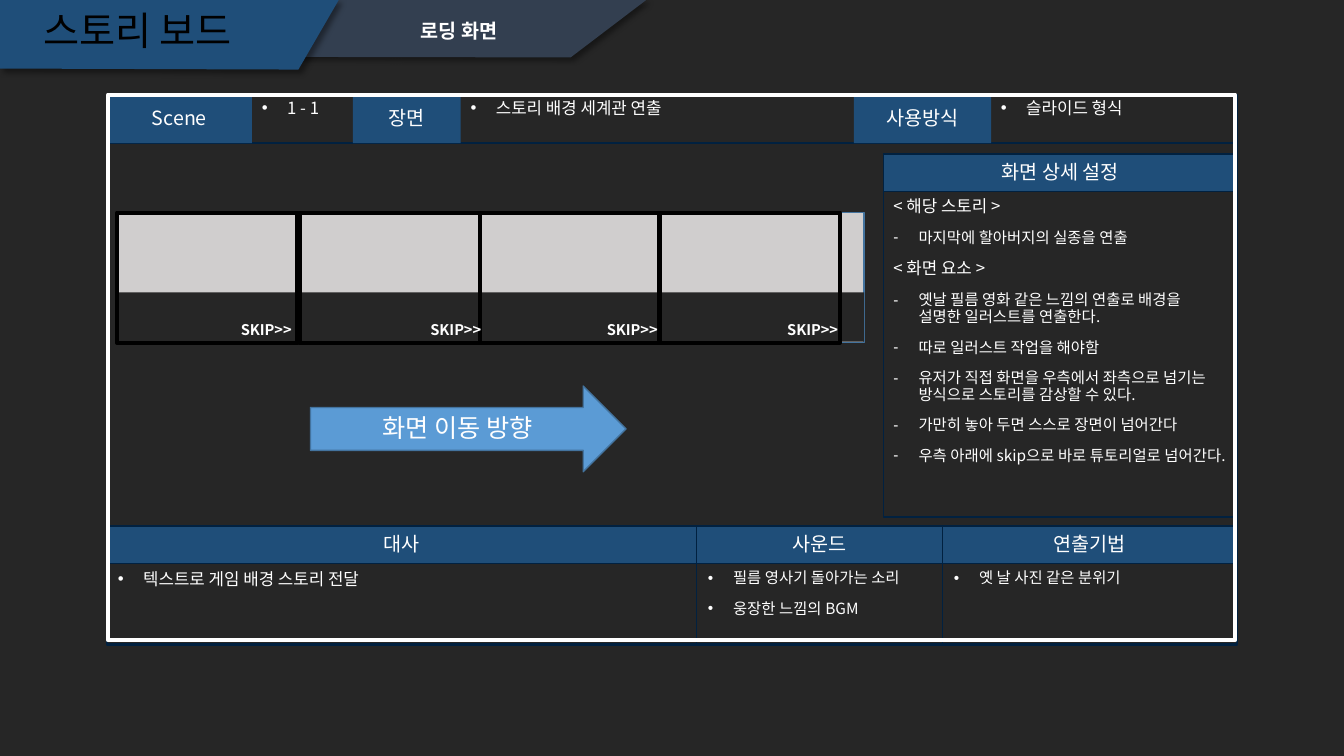
"""Build a storyboard slide for the loading screen."""
from lxml import etree
from pptx import Presentation
from pptx.dml.color import RGBColor
from pptx.enum.shapes import MSO_SHAPE
from pptx.enum.text import MSO_ANCHOR, MSO_AUTO_SIZE, PP_ALIGN
from pptx.oxml.ns import qn
from pptx.util import Inches, Pt

RECT, ARROW = MSO_SHAPE.RECTANGLE, MSO_SHAPE.RIGHT_ARROW
TOP, MIDDLE = MSO_ANCHOR.TOP, MSO_ANCHOR.MIDDLE
LEFT, CENTER = PP_ALIGN.LEFT, PP_ALIGN.CENTER
FIXED = MSO_AUTO_SIZE.NONE

WHITE = RGBColor(0xFF, 0xFF, 0xFF)
BLACK = RGBColor(0x00, 0x00, 0x00)
DARK = RGBColor(0x26, 0x26, 0x26)
NAVY = RGBColor(0x1F, 0x4E, 0x79)
SLATE = RGBColor(0x33, 0x3F, 0x50)
EDGE = RGBColor(0x01, 0x21, 0x40)
GRAY = RGBColor(0xD0, 0xCE, 0xCE)
BLUE = RGBColor(0x5B, 0x9B, 0xD5)
STEEL = RGBColor(0x43, 0x73, 0x9E)

NOTO, ARIAL = "Noto Sans CJK KR", "Arial"
CELL = Inches(0.1)
COLS, ROWS = 133.3, 75
HEAD = 3.7
DOT, DASH = "•", "-"

SCENE = [
    ("Scene", 10.6, 14.4, "1 - 1", 9.9),
    ("장면", 35, 10.7, "스토리 배경 세계관 연출", 39),
    ("사용방식", 84.7, 13.6, "슬라이드 형식", 24.4),
]
NOTES = [
    ("대사", 10.6, 58.5, 12, ["텍스트로 게임 배경 스토리 전달"]),
    ("사운드", 69.1, 24.4, 11, ["필름 영사기 돌아가는 소리", "웅장한 느낌의 BGM"]),
    ("연출기법", 93.5, 29.2, 11, ["옛 날 사진 같은 분위기"]),
]
DETAILS = [
    ("< 해당 스토리 >", 12, None),
    ("마지막에 할아버지의 실종을 연출", 11, DASH),
    ("< 화면 요소 >", 12, None),
    ("옛날 필름 영화 같은 느낌의 연출로 배경을 설명한 일러스트를 연출한다.", 11, DASH),
    ("따로 일러스트 작업을 해야함", 11, DASH),
    ("유저가 직접 화면을 우측에서 좌측으로 넘기는 방식으로 스토리를 감상할 수 있다.", 11, DASH),
    ("가만히 놓아 두면 스스로 장면이 넘어간다", 11, DASH),
    ("우측 아래에 skip으로 바로 튜토리얼로 넘어간다.", 11, DASH),
]
FRAMES = [(11.6, 22.9), (29.7, 41.7), (47.6, 59.2), (65.4, 77.1)]


def span(*cells):
    """Turn grid cells into lengths."""
    return [round(n * CELL) for n in cells]


def assign(item, **values):
    """Set each named attribute of an item."""
    for name, value in values.items():
        setattr(item, name, value)


def mark(para, sign):
    """Give a paragraph a hanging bullet, or none."""
    props = para._p.get_or_add_pPr()
    hang = Inches(0.25) if sign else 0
    props.set("marL", str(hang))
    props.set("indent", str(-hang))
    if sign:
        etree.SubElement(props, qn("a:buFont"), typeface=ARIAL)
        etree.SubElement(props, qn("a:buChar"), char=sign)
    else:
        etree.SubElement(props, qn("a:buNone"))


def write(shape, lines, align=LEFT, anchor=TOP, color=WHITE, face=NOTO, bold=False):
    """Fill a shape with lines of text, size and bullet."""
    frame = shape.text_frame
    assign(frame, word_wrap=True, auto_size=FIXED, vertical_anchor=anchor)
    for i, (text, size, sign) in enumerate(lines):
        para = frame.add_paragraph() if i else frame.paragraphs[0]
        mark(para, sign)
        assign(para, alignment=align, line_spacing=0.9, space_before=Pt(10 if i else 0))
        run = para.add_run()
        run.text = text
        assign(run.font, name=face, size=Pt(size), bold=bold)
        run.font.color.rgb = color
        etree.SubElement(run.font._element, qn("a:ea"), typeface=NOTO)


def paint(shape, fill=None, line=None, width=1):
    """Set the fill and outline of a shape."""
    shape.shadow.inherit = False
    if fill is None:
        shape.fill.background()
    else:
        shape.fill.solid()
        shape.fill.fore_color.rgb = fill
    if line is None:
        shape.line.fill.background()
    else:
        shape.line.color.rgb = line
        shape.line.width = Pt(width)


def block(slide, area, fill=None, line=None, width=1, text=None, size=14, kind=RECT):
    """Draw a preset shape with an optional centred label."""
    shape = slide.shapes.add_shape(kind, *span(*area))
    paint(shape, fill, line, width)
    if text:
        write(shape, [(text, size, None)], CENTER, MIDDLE)


def label(slide, area, lines, **look):
    """Add a text box."""
    write(slide.shapes.add_textbox(*span(*area)), lines, **look)


def settle(holder, area, lines, **look):
    """Move a placeholder to the front and fill it."""
    left, top, width, height = span(*area)
    assign(holder, left=left, top=top, width=width, height=height)
    holder.element.getparent().append(holder.element)
    write(holder, lines, **look)


def ribbon(slide, points, fill):
    """Draw a slanted heading band with a soft shadow."""
    first, *rest = [span(*point) for point in points]
    pen = slide.shapes.build_freeform(*first)
    pen.add_line_segments(rest)
    shape = pen.convert_to_shape()
    paint(shape, fill)
    effects = shape.element.spPr.find(qn("a:effectLst"))
    shade = etree.SubElement(effects, qn("a:outerShdw"), blurRad=str(Pt(4)),
                             dist=str(Pt(3)), dir="2700000", algn="tl", rotWithShape="0")
    tone = etree.SubElement(shade, qn("a:srgbClr"), val=str(BLACK))
    etree.SubElement(tone, qn("a:alpha"), val="40000")


def board(slide):
    """Draw the panels and headings of the storyboard."""
    block(slide, (10.6, 9.4, 112.1, 54.6), line=EDGE)
    block(slide, (10.9, 9.4, 111.8, 4.8), line=EDGE)
    for name, left, width, *_ in SCENE:
        block(slide, (left, 9.4, width, 4.8), NAVY, text=name)
    block(slide, (87.6, 15.3, 35.1, 36), line=EDGE)
    block(slide, (87.6, 15.3, 35.1, HEAD), NAVY, EDGE, text="화면 상세 설정")
    for name, left, width, *_ in NOTES:
        block(slide, (left, 52.2, width, HEAD), NAVY, EDGE, text=name)
        block(slide, (left, 52.2 + HEAD, width, 8), line=EDGE)
    block(slide, (10.7, 9.4, 111.8, 54.1), line=WHITE, width=3)


def film(slide):
    """Draw the film strip and the arrow below it."""
    block(slide, (11.6, 21.1, 74.1, 12.9), GRAY, STEEL)
    block(slide, (11.5, 29, 74.2, 4.9), DARK)
    for left, _ in FRAMES:
        block(slide, (left, 21.1, 17.9, 12.9), line=BLACK, width=3)
    for _, left in FRAMES:
        label(slide, (left, 31.5, 9.4, 2.7), [("SKIP>>", 10.5, None)], bold=True)
    block(slide, (30.8, 38.3, 31.3, 8.5), BLUE, STEEL,
          text="화면 이동 방향", size=18, kind=ARROW)


def main():
    """Build and save the slide."""
    deck = Presentation()
    deck.slide_width, deck.slide_height = span(COLS, ROWS)
    slide = deck.slides.add_slide(deck.slide_layouts.get_by_name("Comparison"))
    title, *bodies = slide.placeholders
    slide.background.fill.solid()
    slide.background.fill.fore_color.rgb = DARK

    ribbon(slide, [(0.5, 0), (64.1, 0), (56.6, 5.7), (0.5, 5.6)], SLATE)
    ribbon(slide, [(0, 0), (33.6, 0), (29.6, 6.9), (0, 6.8)], NAVY)
    board(slide)
    label(slide, (37.8, 1.6, 15.5, 3.2), [("로딩 화면", 14, None)],
          align=CENTER, face=ARIAL, bold=True)
    settle(title, (0.6, -1.5, 26.1, 9.5), [("스토리 보드", 28, None)],
           align=CENTER, anchor=MIDDLE, color=BLACK, face=ARIAL)
    for body, (_, left, width, size, lines) in zip(bodies, NOTES):
        settle(body, (left + 0.1, 56.1, width, 7.5), [(text, size, DOT) for text in lines])
    settle(bodies[-1], (87.6, 19.1, 35, 33.1), DETAILS)
    for _, left, width, text, room in SCENE:
        label(slide, (left + width, 9.4, room, 4.7), [(text, 12, DOT)])
    film(slide)
    deck.save("out.pptx")


if __name__ == "__main__":
    main()
